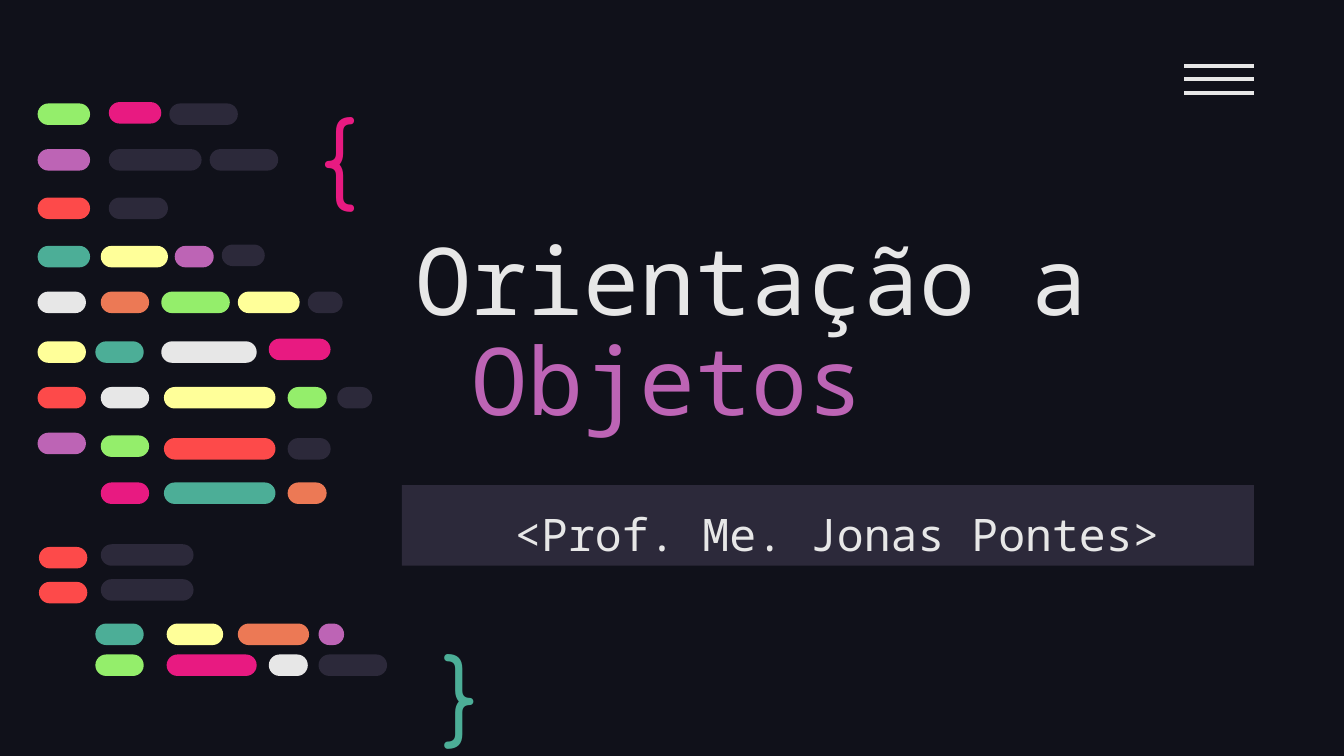
from typing import NamedTuple

from lxml.etree import SubElement
from pptx import Presentation
from pptx.dml.color import RGBColor
from pptx.enum.shapes import MSO_CONNECTOR, MSO_SHAPE
from pptx.enum.text import MSO_ANCHOR, MSO_AUTO_SIZE, PP_ALIGN
from pptx.oxml.ns import qn
from pptx.util import Inches, Pt

BACKGROUND = "10111A"
PANEL = "2C293A"
WHITE = "E7E7E7"
GREEN = "94EE6B"
PINK = "E81A81"
PURPLE = "BD64B5"
RED = "FD4A4A"
TEAL = "4CAE97"
YELLOW = "FFFF99"
ORANGE = "EC7955"
MONO = "Noto Sans Mono"
ROUNDED = "Comfortaa"
PILL_HEIGHT = 0.16


class Pill(NamedTuple):
    left: float
    top: float
    width: float
    color: str


class Brace(NamedTuple):
    text: str
    left: float
    top: float
    width: float
    height: float
    anchor: MSO_ANCHOR
    color: str


PILLS = [
    Pill(0.28, 0.77, 0.39, GREEN),
    Pill(0.81, 0.76, 0.39, PINK),
    Pill(1.26, 0.77, 0.51, PANEL),
    Pill(0.28, 1.11, 0.39, PURPLE),
    Pill(0.81, 1.11, 0.69, PANEL),
    Pill(1.56, 1.11, 0.51, PANEL),
    Pill(0.28, 1.47, 0.39, RED),
    Pill(0.81, 1.47, 0.44, PANEL),
    Pill(0.28, 1.83, 0.39, TEAL),
    Pill(0.75, 1.83, 0.5, YELLOW),
    Pill(1.3, 1.83, 0.29, PURPLE),
    Pill(1.65, 1.82, 0.32, PANEL),
    Pill(0.28, 2.17, 0.36, WHITE),
    Pill(0.75, 2.17, 0.36, ORANGE),
    Pill(1.2, 2.17, 0.51, GREEN),
    Pill(1.77, 2.17, 0.46, YELLOW),
    Pill(2.29, 2.17, 0.26, PANEL),
    Pill(0.28, 2.54, 0.36, YELLOW),
    Pill(0.71, 2.54, 0.36, TEAL),
    Pill(1.2, 2.54, 0.71, WHITE),
    Pill(2, 2.52, 0.46, PINK),
    Pill(0.28, 2.88, 0.36, RED),
    Pill(0.75, 2.88, 0.36, WHITE),
    Pill(1.22, 2.88, 0.83, YELLOW),
    Pill(2.14, 2.88, 0.29, GREEN),
    Pill(2.51, 2.88, 0.26, PANEL),
    Pill(0.28, 3.22, 0.36, PURPLE),
    Pill(0.75, 3.24, 0.36, GREEN),
    Pill(1.22, 3.26, 0.83, RED),
    Pill(2.14, 3.26, 0.32, PANEL),
    Pill(0.75, 3.59, 0.36, PINK),
    Pill(1.22, 3.59, 0.83, TEAL),
    Pill(2.14, 3.59, 0.29, ORANGE),
    Pill(0.29, 4.07, 0.36, RED),
    Pill(0.75, 4.05, 0.69, PANEL),
    Pill(0.29, 4.33, 0.36, RED),
    Pill(0.75, 4.31, 0.69, PANEL),
    Pill(0.71, 4.64, 0.36, TEAL),
    Pill(1.24, 4.64, 0.42, YELLOW),
    Pill(1.77, 4.64, 0.53, ORANGE),
    Pill(2.37, 4.64, 0.19, PURPLE),
    Pill(0.71, 4.87, 0.36, GREEN),
    Pill(1.24, 4.87, 0.67, PINK),
    Pill(2, 4.87, 0.29, WHITE),
    Pill(2.37, 4.87, 0.51, PANEL),
]
BRACES = [
    Brace("{", 2.29, 0.62, 0.77, 0.95, MSO_ANCHOR.TOP, PINK),
    Brace("}", 3.2, 4.72, 0.57, 0.83, MSO_ANCHOR.MIDDLE, TEAL),
]


def paint(target, color: str) -> None:
    target.solid()
    target.fore_color.rgb = RGBColor.from_string(color)


def style_span(span, font: str, size: float, color: str) -> None:
    span.font.name = font
    span.font.size = Pt(size)
    paint(span.font.fill, color)


def set_frame(frame, anchor: MSO_ANCHOR) -> None:
    frame.word_wrap = True
    frame.auto_size = MSO_AUTO_SIZE.NONE
    frame.vertical_anchor = anchor
    frame.margin_left = frame.margin_right = Inches(0.1)
    frame.margin_top = frame.margin_bottom = Inches(0.1)


def add_block(page, kind: MSO_SHAPE, left: float, top: float, width: float, height: float, color: str):
    block = page.shapes.add_shape(kind, Inches(left), Inches(top), Inches(width), Inches(height))
    block.shadow.inherit = False
    paint(block.fill, color)
    block.line.fill.background()
    return block


def add_title(page) -> None:
    title = page.shapes.title
    title.left, title.top = Inches(2.99), Inches(1.38)
    title.width, title.height = Inches(6.34), Inches(2.23)
    title.text_frame.text = "Orientação a\n Objetos"
    set_frame(title.text_frame, MSO_ANCHOR.MIDDLE)
    for para, color in zip(title.text_frame.paragraphs, (WHITE, PURPLE)):
        para.alignment = PP_ALIGN.LEFT
        para.line_spacing = 0.9
        style_span(para.runs[0], MONO, 50, color)


def add_author(page) -> None:
    box = add_block(page, MSO_SHAPE.RECTANGLE, 2.99, 3.61, 6.34, 0.6, PANEL)
    set_frame(box.text_frame, MSO_ANCHOR.TOP)
    para = box.text_frame.paragraphs[0]
    para.alignment = PP_ALIGN.CENTER
    para.line_spacing = 1.15
    for text, size in ((" ", 16), ("<Prof. Me. Jonas Pontes>", 24)):
        span = para.add_run()
        span.text = text
        style_span(span, MONO, size, WHITE)


def add_brace(page, brace: Brace) -> None:
    box = page.shapes.add_textbox(
        Inches(brace.left), Inches(brace.top), Inches(brace.width), Inches(brace.height)
    )
    box.text_frame.text = brace.text
    set_frame(box.text_frame, brace.anchor)
    style_span(box.text_frame.paragraphs[0].runs[0], ROUNDED, 50, brace.color)


def add_menu_line(page, top: float) -> None:
    line = page.shapes.add_connector(
        MSO_CONNECTOR.STRAIGHT, Inches(8.81), Inches(top), Inches(9.33), Inches(top)
    )
    paint(line.line.fill, WHITE)
    line.line.width = Pt(2.25)
    SubElement(line._element.spPr, qn("a:effectLst"))


def add_pill(page, pill: Pill) -> None:
    block = add_block(
        page, MSO_SHAPE.ROUNDED_RECTANGLE, pill.left, pill.top, pill.width, PILL_HEIGHT, pill.color
    )
    block.adjustments[0] = 0.5


def main() -> None:
    deck = Presentation()
    deck.slide_width = Inches(10)
    deck.slide_height = deck.slide_width * 9 // 16
    page = deck.slides.add_slide(deck.slide_layouts[5])
    paint(page.background.fill, BACKGROUND)
    add_title(page)
    add_author(page)
    for brace in BRACES:
        add_brace(page, brace)
    for index in range(3):
        add_menu_line(page, 0.49 + 0.1 * index)
    for pill in PILLS:
        add_pill(page, pill)
    deck.save("out.pptx")


if __name__ == "__main__":
    main()
